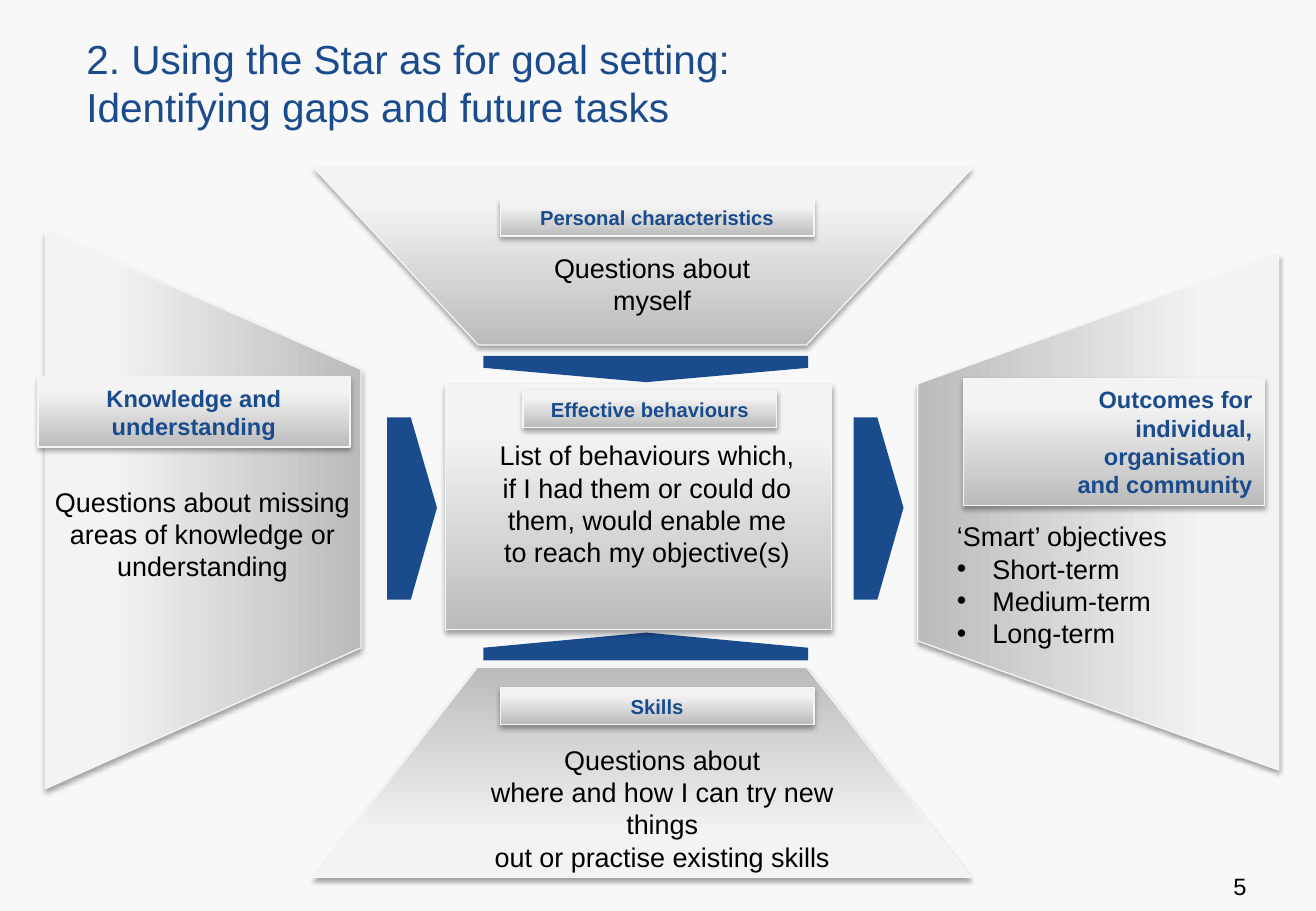
import copy

import pptx
import pptx.dml.color
import pptx.enum.shapes
import pptx.enum.text
import pptx.oxml
import pptx.oxml.ns
import pptx.util

Pt = pptx.util.Pt
qn = pptx.oxml.ns.qn
ALIGN = pptx.enum.text.PP_ALIGN
ANCHOR = pptx.enum.text.MSO_ANCHOR

BLUE, BLACK, BACKGROUND, EDGE = "194B8D", "000000", "F8F8F8", "F5F5F5"
GREYS = [(0, "BBBBBB"), (0.8, "F3F3F3"), (1, "F4F4F4")]
DARK_LEFT, DARK_BOTTOM, DARK_RIGHT, DARK_TOP = 0, 90, 180, 270
SHADOW = (
    '<a:effectLst xmlns:a="http://schemas.openxmlformats.org/drawingml/2006/main">'
    '<a:outerShdw blurRad="39370" dist="22860" dir="5400000" rotWithShape="0">'
    '<a:srgbClr val="000000"><a:alpha val="35000"/></a:srgbClr>'
    "</a:outerShdw></a:effectLst>"
)


def rgb(code):
    return pptx.dml.color.RGBColor.from_string(code)


def write(frame, text, size=16, color=BLACK, bold=False,
          align=ALIGN.CENTER, anchor=ANCHOR.TOP):
    frame.text = text
    frame.word_wrap = True
    frame.auto_size = pptx.enum.text.MSO_AUTO_SIZE.NONE
    frame.vertical_anchor = anchor
    for paragraph in frame.paragraphs:
        paragraph.alignment = align
        paragraph.line_spacing = Pt(size * 1.2)
        paragraph.space_before = Pt(0)
        for run in paragraph.runs:
            run.font.name = "Arial"
            run.font.size = Pt(size)
            run.font.bold = bold
            run.font.color.rgb = rgb(color)


def bullet(paragraph, character=None, indent=0):
    properties = paragraph._p.get_or_add_pPr()
    properties.set("marL", str(Pt(indent)))
    properties.set("indent", str(-Pt(indent)))
    if character:
        mark = pptx.oxml.ns.nsdecls("a")
        properties.append(pptx.oxml.parse_xml(f'<a:buChar {mark} char="{character}"/>'))
    else:
        properties.append(pptx.oxml.parse_xml(f'<a:buNone {pptx.oxml.ns.nsdecls("a")}/>'))


class StarSlide:
    def __init__(self, deck):
        self.slide = deck.slides.add_slide(deck.slide_layouts[1])
        self.shapes = self.slide.shapes
        self.slide.background.fill.solid()
        self.slide.background.fill.fore_color.rgb = rgb(BACKGROUND)

    def place(self, shape, left, top, width, height):
        shape.left, shape.top = Pt(left), Pt(top)
        shape.width, shape.height = Pt(width), Pt(height)

    def title(self, box, text):
        self.place(self.shapes.title, *box)
        write(self.shapes.title.text_frame, text, size=24, color=BLUE, align=ALIGN.LEFT)

    def objectives(self, box, heading, items):
        body = self.slide.placeholders[1]
        self.place(body, *box)
        write(body.text_frame, "\n".join([heading, *items]), align=ALIGN.LEFT)
        first, *rest = body.text_frame.paragraphs
        bullet(first)
        for paragraph in rest:
            bullet(paragraph, "•", 21)
        self.shapes._spTree.append(body._element)

    def text(self, box, text, **style):
        write(self.shapes.add_textbox(*map(Pt, box)).text_frame, text, **style)

    def polish(self, shape, angle):
        shape.fill.gradient()
        shape.fill.gradient_angle = angle
        stops = shape._element.spPr.find(f".//{qn('a:gsLst')}")
        stops.append(copy.deepcopy(stops[-1]))
        for stop, (position, color) in zip(shape.fill.gradient_stops, GREYS):
            stop.position = position
            stop.color.rgb = rgb(color)
        shape.line.color.rgb = rgb(EDGE)
        shape.line.width = Pt(0.75)
        shape._element.spPr.append(pptx.oxml.parse_xml(SHADOW))

    def panel(self, box, label="", **style):
        kind = pptx.enum.shapes.MSO_SHAPE.RECTANGLE
        shape = self.shapes.add_shape(kind, *map(Pt, box))
        self.polish(shape, DARK_BOTTOM)
        if label:
            write(shape.text_frame, label, color=BLUE, bold=True,
                  anchor=ANCHOR.MIDDLE, **style)

    def outline(self, points):
        start, *others = [(Pt(x), Pt(y)) for x, y in points]
        builder = self.shapes.build_freeform(*start)
        builder.add_line_segments(others)
        return builder.convert_to_shape()

    def wing(self, points, angle):
        self.polish(self.outline(points), angle)

    def pointer(self, points):
        shape = self.outline(points)
        shape.shadow.inherit = False
        shape.fill.solid()
        shape.fill.fore_color.rgb = rgb(BLUE)
        shape.line.fill.background()


def main():
    deck = pptx.Presentation()
    deck.slide_width, deck.slide_height = Pt(780), Pt(540)
    star = StarSlide(deck)

    star.title((44, 16.5, 670, 66),
               "2. Using the Star as for goal setting:\vIdentifying gaps and future tasks")
    star.text((688, 513, 58, 27), "5", size=14, align=ALIGN.RIGHT)

    for x in (229.5, 506):
        star.pointer([(x, 247.5), (x + 14, 247.5), (x + 29.5, 301),
                      (x + 14, 355.5), (x, 355.5)])
    for base, shoulder, tip in ((211, 218, 226.5), (391.5, 384, 375)):
        star.pointer([(286.5, base), (286.5, shoulder), (383, tip),
                      (479, shoulder), (479, base)])

    star.panel((264, 228, 229, 145))
    star.panel((310, 231.5, 150.5, 22), "Effective behaviours", size=12)
    star.wing([(186.5, 100), (283.5, 204.5), (478, 204.5), (576, 100)], DARK_BOTTOM)
    star.panel((296.5, 118, 186, 22), "Personal characteristics", size=12)
    star.wing([(186, 520), (283, 395.5), (478, 395.5), (575.5, 520)], DARK_TOP)
    star.panel((296.5, 407.5, 186, 22), "Skills", size=12)
    star.wing([(27, 137), (214, 219), (214, 384), (27, 467.5)], DARK_RIGHT)
    star.panel((22.5, 223.5, 185, 41.5), "Knowledge and\vunderstanding", size=14)
    star.wing([(758, 150.5), (544, 227.5), (544, 380), (758, 456.5)], DARK_LEFT)
    star.panel((571, 224.5, 178.5, 75),
               "Outcomes for\vindividual,\norganisation \vand community",
               size=14, align=ALIGN.RIGHT)

    star.text((21.5, 284, 197, 66),
              "Questions about missing areas of knowledge or understanding")
    star.text((266, 437, 253, 85),
              "Questions about\nwhere and how I can try new things\n"
              "out or practise existing skills")
    star.text((286, 256.5, 195, 85),
              "List of behaviours which, if I had them or could do them, "
              "would enable me to reach my objective(s)")
    star.objectives((560, 304.5, 141, 85), "‘Smart’ objectives",
                    ["Short-term", "Medium-term", "Long-term"])
    star.text((318, 145.5, 137, 46), "Questions about\nmyself")

    deck.save("out.pptx")


if __name__ == "__main__":
    main()
